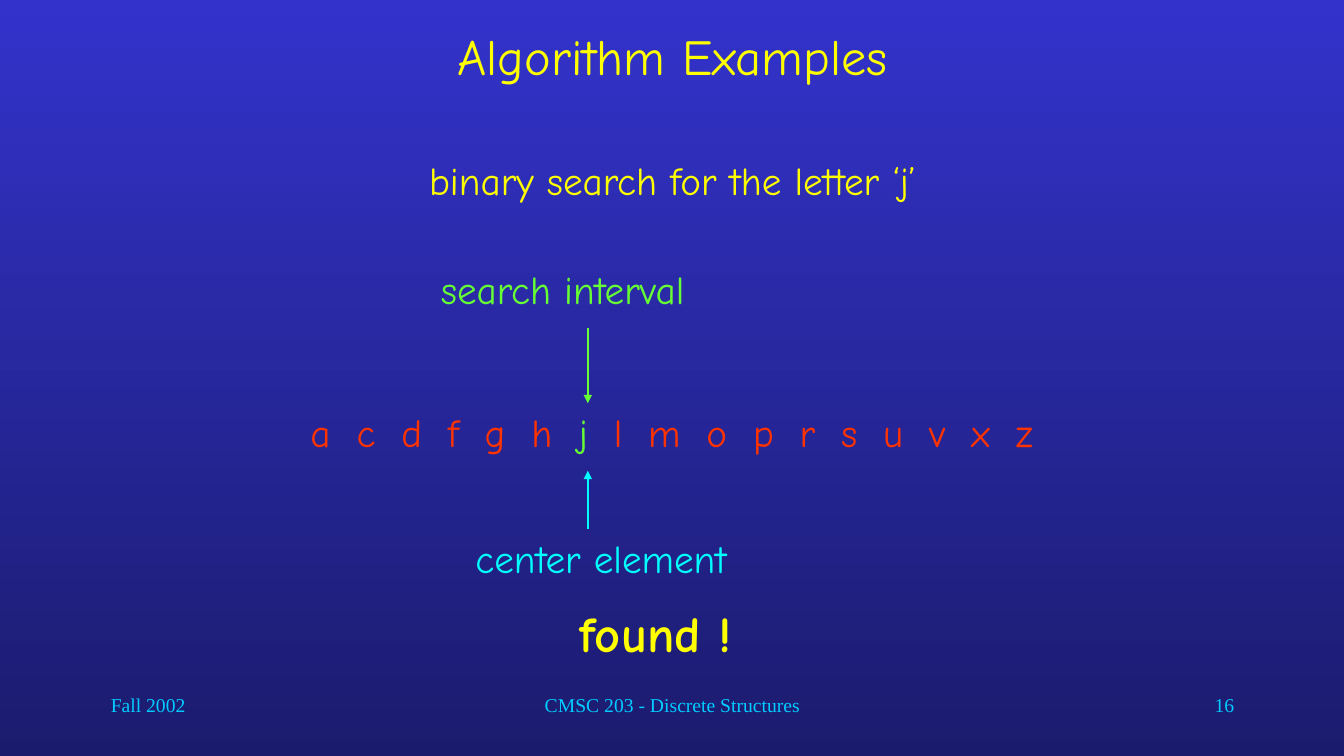
from dataclasses import dataclass

from lxml import etree
from pptx import Presentation
from pptx import util as u
from pptx.dml.color import RGBColor
from pptx.enum import shapes, text
from pptx.oxml import ns

ALIGN = text.PP_ALIGN


@dataclass(frozen=True)
class Theme:
    """Fonts, colours and type sizes of the slide."""
    body_font: str = "Comic Neue"
    footer_font: str = "Times New Roman"
    top: str = "3333CC"
    bottom: str = "1B1B6E"
    heading: str = "FFFF00"
    letters: str = "FF3300"
    interval: str = "66FF33"
    center: str = "00FFFF"
    footer: str = "00CCFF"
    heading_size: int = 36
    body_size: int = 28
    footer_size: int = 14
    line_width: float = 1.5
    letter_spacing: float = 4.6


THEME = Theme()


def add_text(slide, box, runs, *, color=THEME.heading, size=THEME.body_size,
             font=THEME.body_font, bold=False, align=ALIGN.CENTER,
             anchor=text.MSO_ANCHOR.TOP, spacing=0):
    """Place a string, or a list of (string, colour) runs, in a box."""
    shape = slide.shapes.add_textbox(*map(u.Inches, box))
    frame = shape.text_frame
    frame.word_wrap = True
    frame.vertical_anchor = anchor
    paragraph = frame.paragraphs[0]
    paragraph.alignment = align
    for words, run_color in [(runs, color)] if isinstance(runs, str) else runs:
        run = paragraph.add_run()
        run.text = words
        run.font.name = font
        run.font.size = u.Pt(size)
        run.font.bold = bold
        run.font.color.rgb = RGBColor.from_string(run_color)
        if spacing:
            run.font._element.set("spc", str(round(spacing * 100)))
    return shape


def add_arrow(slide, x, start, end, color):
    """Draw a vertical arrow from start to end."""
    arrow = slide.shapes.add_connector(
        shapes.MSO_CONNECTOR.STRAIGHT,
        *map(u.Inches, (x, start, x, end)))
    arrow.line.color.rgb = RGBColor.from_string(color)
    arrow.line.width = u.Pt(THEME.line_width)
    etree.SubElement(arrow.line._get_or_add_ln(), ns.qn("a:tailEnd"), type="triangle")
    etree.SubElement(arrow._element.spPr, ns.qn("a:effectLst"))


def paint_background(slide):
    """Fill the slide with a gradient from top to bottom."""
    fill = slide.background.fill
    fill.gradient()
    fill.gradient_angle = 270
    for stop, color in zip(fill.gradient_stops, (THEME.top, THEME.bottom)):
        stop.color.rgb = RGBColor.from_string(color)


def add_footer(slide, box):
    """Place date, course and page number side by side."""
    left, top, width, height = box
    side = 2.78
    parts = (("Fall 2002", side, ALIGN.LEFT),
             ("CMSC 203 - Discrete Structures", width - 2 * side, ALIGN.CENTER),
             ("16", side, ALIGN.RIGHT))
    for words, part_width, align in parts:
        add_text(slide, (left, top, part_width, height), words, align=align,
                 color=THEME.footer, size=THEME.footer_size, font=THEME.footer_font)
        left += part_width


def add_headings(slide, box):
    """Place the title and the task below it."""
    left, top, width, height = box
    add_text(slide, (left, top, width, 0.75), "Algorithm Examples",
             size=THEME.heading_size, anchor=text.MSO_ANCHOR.MIDDLE)
    add_text(slide, (left, top + height - 0.57, width, 0.57),
             "binary search for the letter ‘j’")


def add_search(slide, box):
    """Place the letters, the two arrows with labels and the result."""
    left, top, width, height = box
    arrow_x = left + 3.25
    row = top + 1.42
    add_text(slide, (left + 1.5, top, 3, 0.57), "search interval", color=THEME.interval)
    add_arrow(slide, arrow_x, row - 0.75, row, THEME.interval)
    add_text(slide, (left, row, width, 0.57),
             [("a c d f g h ", THEME.letters), ("j ", THEME.interval),
              ("l m o p r s u v x z", THEME.letters)],
             spacing=THEME.letter_spacing)
    add_arrow(slide, arrow_x, row + 1.25, row + 0.67, THEME.center)
    add_text(slide, (left + 1.84, row + 1.25, 3.08, 0.57), "center element",
             color=THEME.center)
    add_text(slide, (left - 0.16, top + height - 0.7, width, 0.7), "found !",
             size=THEME.heading_size, bold=True)


def main():
    """Build and save the slide."""
    presentation = Presentation()
    presentation.slide_width = u.Inches(13.33)
    presentation.slide_height = u.Inches(7.5)
    slide = presentation.slides.add_slide(presentation.slide_layouts[6])
    paint_background(slide)
    add_footer(slide, (1, 6.83, 11.34, 0.5))
    add_headings(slide, (2.42, 0.17, 8.5, 1.9))
    add_search(slide, (2.58, 2.58, 8.17, 4.04))
    presentation.save("out.pptx")


if __name__ == "__main__":
    main()
